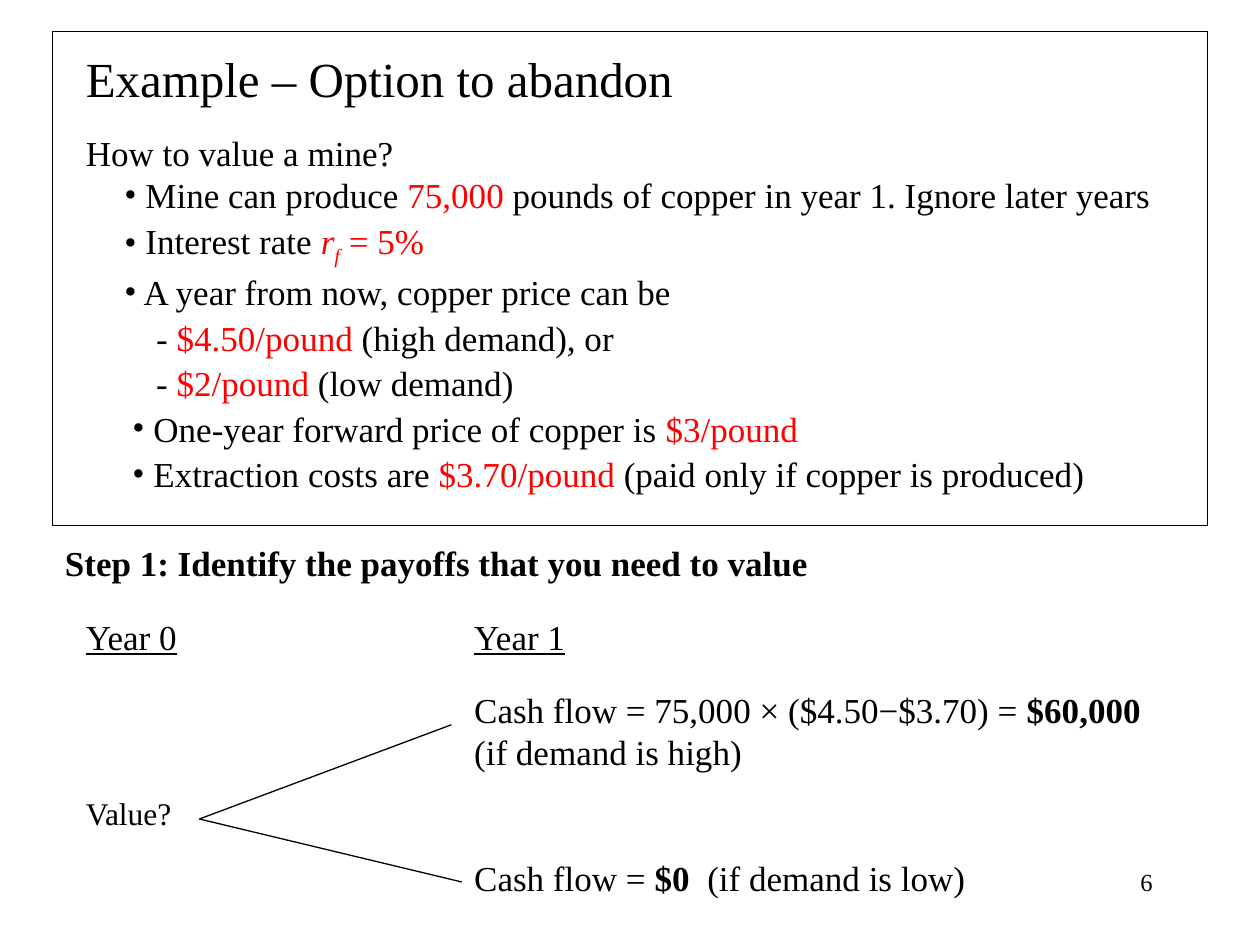
"""Build the slide on valuing a mine with an option to abandon."""
from dataclasses import dataclass

from lxml import etree
from pptx import Presentation
from pptx.dml.color import RGBColor
from pptx.enum.shapes import MSO_CONNECTOR, MSO_SHAPE
from pptx.enum.text import MSO_AUTO_SIZE, PP_ALIGN
from pptx.oxml.ns import qn
from pptx.util import Cm, Pt

COLORS = {"ink": "000000", "accent": "FF0000"}
FONT = "Times New Roman"
LEFT, YEAR_1_LEFT, FRAME_LEFT = 1.48, 9.31, 1.06
YEAR_TOP, LINE_HEIGHT = 12.28, 1.09


@dataclass(frozen=True)
class Run:
    text: str
    color: str = "ink"
    bold: bool = False
    italic: bool = False
    underline: bool = False
    subscript: bool = False


@dataclass(frozen=True)
class Para:
    runs: tuple[Run, ...]
    size: int = 20
    level: int = 0
    margin: float = 0
    indent: float = 0
    bullet: bool = False
    after: float = 0
    align: PP_ALIGN = PP_ALIGN.LEFT


@dataclass(frozen=True)
class TextBox:
    left: float
    top: float
    width: float
    height: float
    paras: tuple[Para, ...]


def red(text: str, **style: bool) -> Run:
    return Run(text, "accent", **style)


def bullet(*runs: Run, indent: float = 0.48, after: float = 2) -> Para:
    return Para(runs, level=1, margin=0.3, indent=indent, bullet=True, after=after)


def price(amount: str, demand: str) -> Para:
    return Para((Run("- "), red(amount), Run(demand)), level=2, margin=1.42, after=2)


def line_box(left: float, top: float, width: float, *runs: Run,
             height: float = LINE_HEIGHT, **style) -> TextBox:
    return TextBox(left, top, width, height, (Para(runs, **style),))


EXAMPLE = TextBox(LEFT, 0.85, 22.86, 9.4, (
    Para((Run("Example – Option to abandon"),), size=28, after=14),
    Para((Run("How to value a mine?"),)),
    bullet(Run(" Mine can produce "), red("75,000"),
           Run(" pounds of copper in year 1. Ignore later years")),
    bullet(Run(" Interest rate "), red("r", italic=True),
           red("f", italic=True, subscript=True), red(" = 5%")),
    bullet(Run(" A year from now, copper price can be")),
    price("$4.50/pound", " (high demand), or"),
    price("$2/pound", " (low demand)"),
    bullet(Run(" One-year forward price of copper is "), red("$3/pound"), indent=0.64),
    bullet(Run(" Extraction costs are "), red("$3.70/pound"),
           Run(" (paid only if copper is produced)"), indent=0.64, after=0),
))

TEXT_BOXES = (
    line_box(18.2, 17.36, 5.29, Run("6"), height=1.27, size=14, align=PP_ALIGN.RIGHT),
    EXAMPLE,
    line_box(LEFT, 15.88, 2.33, Run("Value?"), height=1.02, size=18),
    line_box(LEFT, YEAR_TOP, 3.6, Run("Year 0", underline=True)),
    line_box(YEAR_1_LEFT, YEAR_TOP, 3.6, Run("Year 1", underline=True)),
    line_box(YEAR_1_LEFT, 17.15, 12.49, Run("Cash flow = "), Run("$0", bold=True),
             Run("  (if demand is low)")),
    line_box(YEAR_1_LEFT, 13.76, 13.97, Run("Cash flow = 75,000 × ($4.50−$3.70) = "),
             Run("$60,000", bold=True), Run(" (if demand is high)"), height=1.96),
    line_box(FRAME_LEFT, 10.8, 22.23,
             Run("Step 1: Identify the payoffs that you need to value", bold=True)),
)

BRANCH_START = (4.02, 16.51)
BRANCH_ENDS = ((9.1, 14.61), (9.31, 17.78))


def rgb(name: str) -> RGBColor:
    return RGBColor.from_string(COLORS[name])


def add_run(paragraph, spec: Run, size: int) -> None:
    run = paragraph.add_run()
    run.text = spec.text
    font = run.font
    font.name, font.size = FONT, Pt(size)
    font.bold, font.italic, font.underline = spec.bold, spec.italic, spec.underline
    font.color.rgb = rgb(spec.color)
    if spec.subscript:
        run._r.get_or_add_rPr().set("baseline", "-25000")


def fill_paragraph(paragraph, spec: Para) -> None:
    paragraph.level, paragraph.alignment = spec.level, spec.align
    paragraph.space_before, paragraph.space_after = Pt(0), Pt(spec.after)
    properties = paragraph._p.get_or_add_pPr()
    properties.set("marL", str(Cm(spec.margin)))
    properties.set("indent", str(Cm(spec.indent)))
    if spec.bullet:
        etree.SubElement(properties, qn("a:buFont")).set("typeface", FONT)
        etree.SubElement(properties, qn("a:buChar")).set("char", "•")
    else:
        etree.SubElement(properties, qn("a:buNone"))
    for run in spec.runs:
        add_run(paragraph, run, spec.size)


def add_text(slide, spec: TextBox) -> None:
    box = slide.shapes.add_textbox(Cm(spec.left), Cm(spec.top),
                                   Cm(spec.width), Cm(spec.height))
    frame = box.text_frame
    frame.word_wrap = True
    frame.auto_size = MSO_AUTO_SIZE.NONE
    for index, para in enumerate(spec.paras):
        fill_paragraph(frame.add_paragraph() if index else frame.paragraphs[0], para)


def style_line(line) -> None:
    line.color.rgb = rgb("ink")
    line.width = Pt(0.75)


def add_branch(slide, end: tuple[float, float]) -> None:
    branch = slide.shapes.add_connector(
        MSO_CONNECTOR.STRAIGHT, *(Cm(value) for value in BRANCH_START + end))
    style_line(branch.line)
    etree.SubElement(branch._element.spPr, qn("a:effectLst"))


def add_frame(slide) -> None:
    frame = slide.shapes.add_shape(MSO_SHAPE.RECTANGLE, Cm(FRAME_LEFT), Cm(0.64),
                                   Cm(23.28), Cm(9.95))
    frame.shadow.inherit = False
    frame.fill.background()
    style_line(frame.line)


def main() -> None:
    deck = Presentation()
    deck.slide_width, deck.slide_height = Cm(25.4), Cm(19.05)
    slide = deck.slides.add_slide(deck.slide_layouts[6])
    for box in TEXT_BOXES:
        add_text(slide, box)
    for end in BRANCH_ENDS:
        add_branch(slide, end)
    add_frame(slide)
    deck.save("out.pptx")


main()
